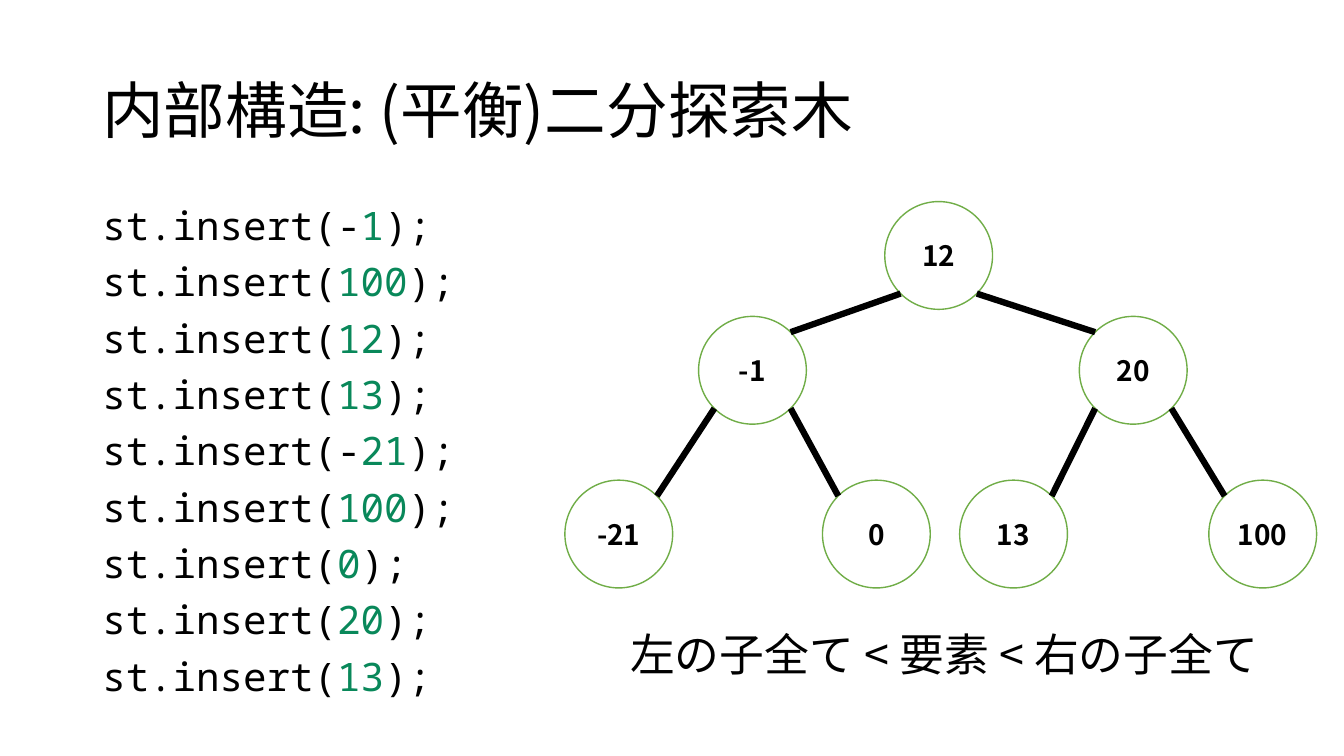
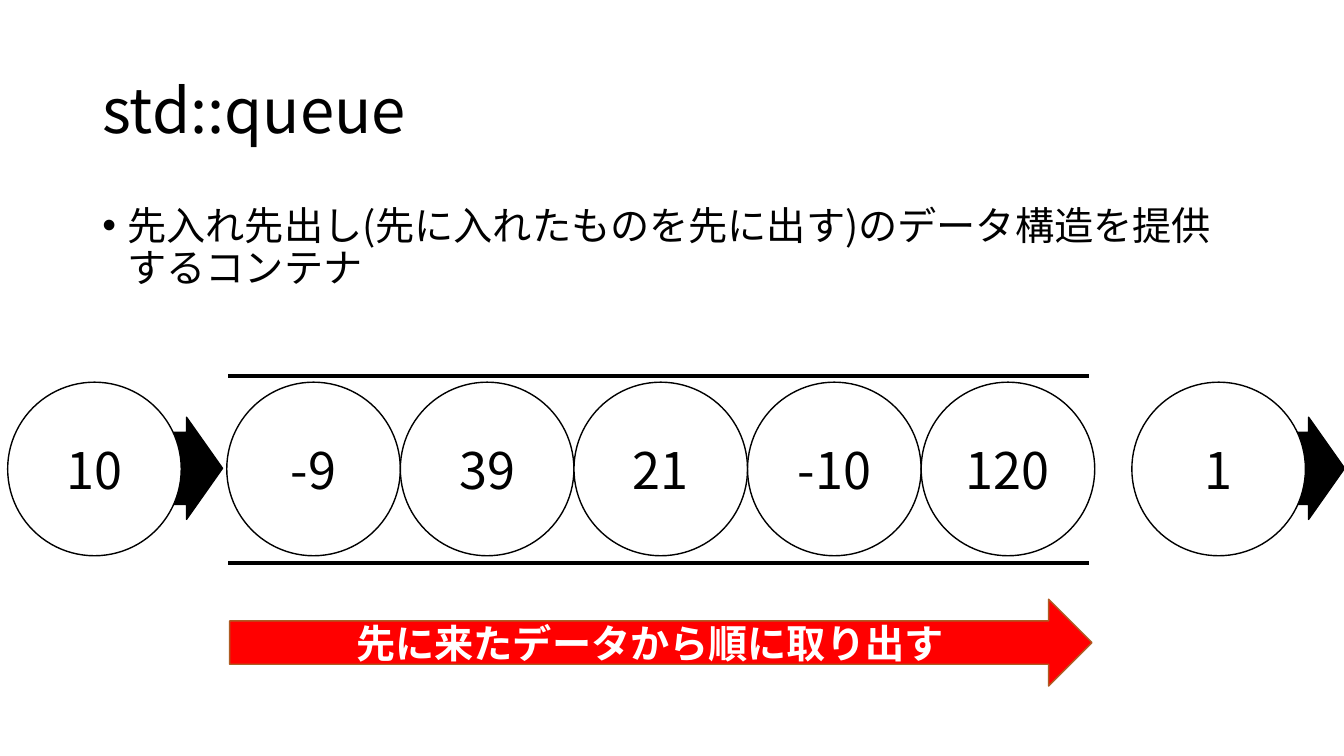
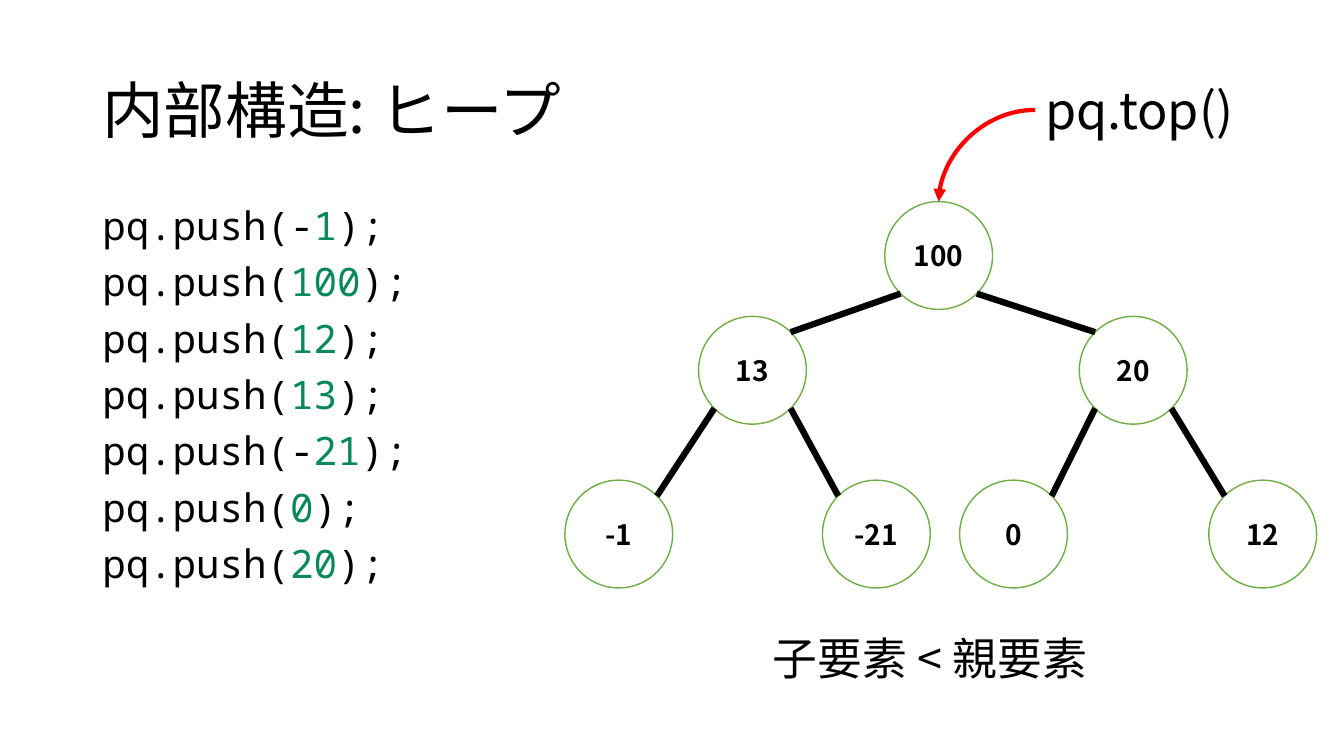
"""Build three slides on the inner workings of set, queue and heap."""
from math import sqrt

from lxml.etree import SubElement
from pptx import Presentation
from pptx.dml.color import RGBColor
from pptx.enum.shapes import MSO_CONNECTOR, MSO_SHAPE
from pptx.enum.text import MSO_ANCHOR, PP_ALIGN
from pptx.oxml.ns import qn
from pptx.util import Pt

COLORS = {
    "ink": "000000",
    "paper": "FFFFFF",
    "digit": "09885A",
    "leaf": "70AD47",
    "red": "FF0000",
    "rust": "AF5C24",
}
SANS = "Noto Sans CJK JP"
MONO = "Noto Sans Mono"
NODE = 77
SPOTS = [(632, 144), (499, 226), (771, 226),
         (403.5, 343), (587.5, 343), (685.5, 343), (863.5, 343)]
BALL = 124


def color(name):
    return RGBColor.from_string(COLORS[name])


def style(run, size, tint="ink", face=SANS, bold=False):
    font = run.font
    font.size, font.bold, font.name = Pt(size), bold, face
    font.color.rgb = color(tint)
    SubElement(run.font._element, qn("a:ea")).set("typeface", face)


def add_box(slide, left, top, width, height, anchor=MSO_ANCHOR.TOP):
    box = slide.shapes.add_textbox(Pt(left), Pt(top), Pt(width), Pt(height))
    box.text_frame.word_wrap = True
    box.text_frame.vertical_anchor = anchor
    return box


def add_label(slide, text, size, left, top, width, height, anchor=MSO_ANCHOR.TOP):
    box = add_box(slide, left, top, width, height, anchor)
    box.text_frame.text = text
    style(box.text_frame.paragraphs[0].runs[0], size)
    return box


def add_title(slide, text):
    box = add_label(slide, text, 44, 66, 29, 828, 104, MSO_ANCHOR.MIDDLE)
    box.text_frame.paragraphs[0].line_spacing = 0.9


def add_bullet(slide, text):
    box = add_label(slide, text, 28, 66, 144, 828, 343)
    para = box.text_frame.paragraphs[0]
    para.line_spacing = 0.9
    props = para._p.get_or_add_pPr()
    props.set("marL", str(Pt(18)))
    props.set("indent", str(-Pt(18)))
    SubElement(props, qn("a:buFont")).set("typeface", "Arial")
    SubElement(props, qn("a:buChar")).set("char", "•")


def add_code(slide, call, values):
    frame = add_box(slide, 66, 144, 395, 363).text_frame
    for i, value in enumerate(values):
        para = frame.add_paragraph() if i else frame.paragraphs[0]
        para.line_spacing = 0.9
        para.space_before = Pt(10 if i else 0)
        sign = "-" if value < 0 else ""
        parts = [(f"{call}({sign}", "ink"), (str(abs(value)), "digit"), (");", "ink")]
        for text, tint in parts:
            run = para.add_run()
            run.text = text
            style(run, 28, tint, MONO)


def add_shape(slide, kind, left, top, width, height, fill, edge):
    shape = slide.shapes.add_shape(kind, Pt(left), Pt(top), Pt(width), Pt(height))
    shape.shadow.inherit = False
    shape.fill.solid()
    shape.fill.fore_color.rgb = color(fill)
    shape.line.color.rgb = color(edge)
    shape.line.width = Pt(1)
    return shape


def set_text(shape, text, size, tint="ink", bold=False):
    frame = shape.text_frame
    frame.text = text
    frame.vertical_anchor = MSO_ANCHOR.MIDDLE
    frame.paragraphs[0].alignment = PP_ALIGN.CENTER
    style(frame.paragraphs[0].runs[0], size, tint, bold=bold)


def add_disc(slide, text, left, top, width, edge, size, bold=False):
    disc = add_shape(slide, MSO_SHAPE.OVAL, left, top, width, width, "paper", edge)
    set_text(disc, text, size, bold=bold)
    return disc


def add_line(slide, start, end, width, tint="ink", kind=MSO_CONNECTOR.STRAIGHT):
    line = slide.shapes.add_connector(kind, *map(Pt, (*start, *end)))
    line.line.color.rgb = color(tint)
    line.line.width = Pt(width)
    SubElement(line._element.spPr, qn("a:effectLst"))
    return line


def add_tree(slide, values):
    discs = [add_disc(slide, str(value), *spot, NODE, "leaf", 20, True)
             for value, spot in zip(values, SPOTS)]
    near = NODE / 2 * (1 - sqrt(0.5))
    far = NODE - near
    for i, (left, top) in enumerate(SPOTS[1:], 1):
        base, roof = SPOTS[(i - 1) // 2]
        out, into = (near, far) if i % 2 else (far, near)
        add_line(slide, (base + out, roof + far), (left + into, top + near), 4.5)
    return discs[0]


def add_curve(slide, source, target):
    curve = add_line(slide, (739.5, 78.5), (670.5, 144), 3, "red", MSO_CONNECTOR.CURVE)
    curve.begin_connect(source, 1)
    curve.end_connect(target, 0)
    curve._element.spPr.find(qn("a:prstGeom")).set("prst", "curvedConnector2")
    SubElement(curve.line._get_or_add_ln(), qn("a:tailEnd")).set("type", "triangle")


def add_queue(slide):
    for left in (106.5, 908):
        arrow = add_shape(slide, MSO_SHAPE.STRIPED_RIGHT_ARROW,
                          left, 298, 52.5, 73, "ink", "ink")
        arrow.adjustments[0], arrow.adjustments[1] = 0.705, 0.49
    for top in (268.5, 402):
        add_line(slide, (163, top), (778, top), 3)
    for i, value in enumerate((-9, 39, 21, -10, 120)):
        add_disc(slide, str(value), 162 + i * BALL, 273, BALL, "ink", 36)
    for value, left in ((10, 5.5), (1, 808.5)):
        add_disc(slide, str(value), left, 273, BALL, "ink", 36)
    arrow = add_shape(slide, MSO_SHAPE.RIGHT_ARROW, 164, 428, 616, 62, "red", "rust")
    set_text(arrow, "先に来たデータから順に取り出す", 28, "paper", True)


def main():
    deck = Presentation()
    deck.slide_width, deck.slide_height = Pt(960), Pt(540)
    blank = deck.slide_layouts[6]

    slide = deck.slides.add_slide(blank)
    add_title(slide, "内部構造: (平衡)二分探索木")
    add_code(slide, "st.insert", (-1, 100, 12, 13, -21, 100, 0, 20, 13))
    add_tree(slide, (12, -1, 20, -21, 0, 13, 100))
    add_label(slide, "左の子全て < 要素 < 右の子全て", 32, 443, 444, 486, 46)

    slide = deck.slides.add_slide(blank)
    add_title(slide, "std::queue")
    add_bullet(slide, "先入れ先出し(先に入れたものを先に出す)のデータ構造を提供するコンテナ")
    add_queue(slide)

    slide = deck.slides.add_slide(blank)
    add_title(slide, "内部構造: ヒープ")
    add_code(slide, "pq.push", (-1, 100, 12, 13, -21, 0, 20))
    root = add_tree(slide, (100, 13, 20, -1, -21, 0, 12))
    add_label(slide, "子要素 < 親要素", 32, 545, 447, 250, 46)
    peek = add_label(slide, "pq.top()", 36, 739.5, 53, 162, 51)
    add_curve(slide, peek, root)

    deck.save("out.pptx")


if __name__ == "__main__":
    main()
